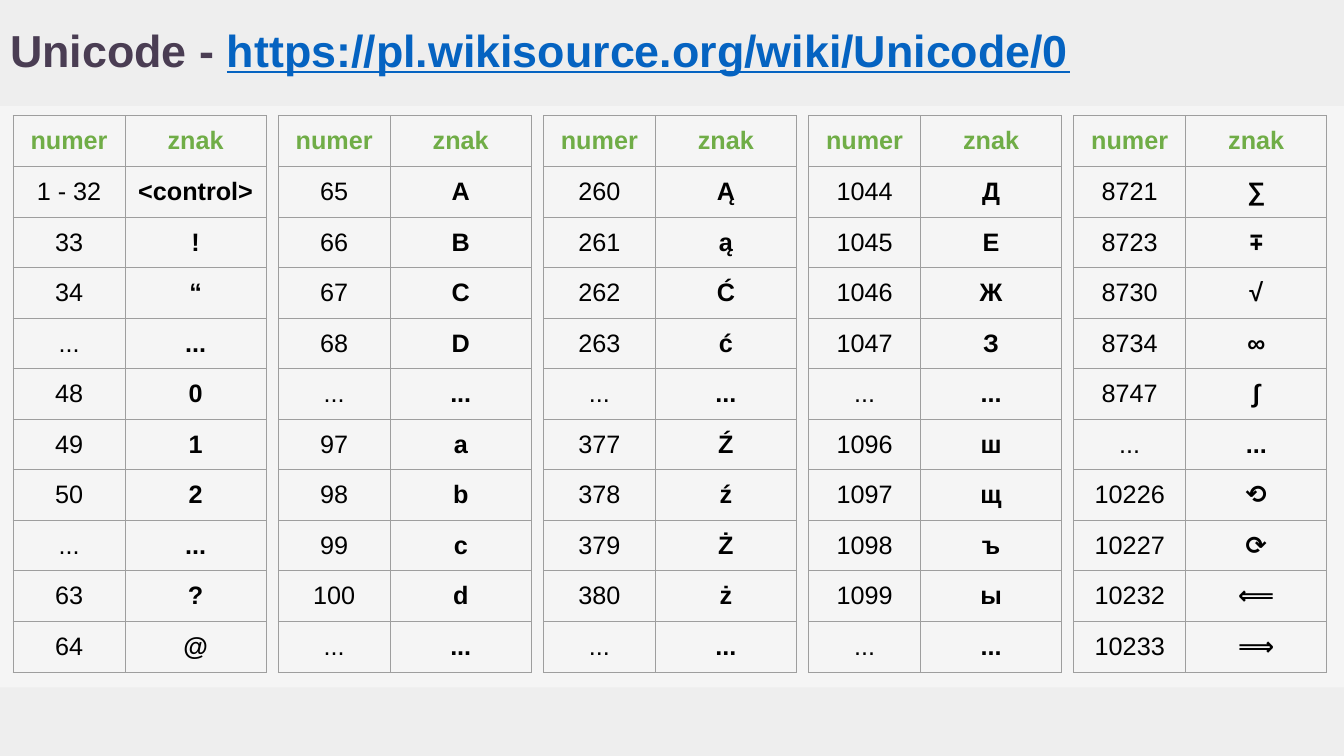
from dataclasses import dataclass

from lxml.etree import SubElement as Sub
from pptx import Presentation
from pptx.dml.color import RGBColor as RGB
from pptx.enum.shapes import MSO_SHAPE as Shape
from pptx.enum.text import MSO_ANCHOR as Anchor, MSO_AUTO_SIZE as Fit, PP_ALIGN as Align
from pptx.oxml.ns import qn
from pptx.util import Inches, Pt


@dataclass(frozen=True)
class Theme:
    font: str = "Arial"
    page: str = "F5F5F5"
    band: str = "EEEEEE"
    title: str = "4A3D53"
    link: str = "0563C1"
    head: str = "70AD47"
    text: str = "000000"
    grid: str = "9E9E9E"
    big: int = 32
    small: int = 18


theme = Theme()


def add_run(para, text, size, color, bold=True):
    run = para.add_run()
    run.text = text
    font = run.font
    font.name, font.size, font.bold = theme.font, Pt(size), bold
    font.color.rgb = RGB.from_string(color)
    return run


def add_grid(cell):
    """Give the cell a thin line on all four sides."""
    props = cell._tc.get_or_add_tcPr()
    for side in ("lnL", "lnR", "lnT", "lnB"):
        line = Sub(props, qn(f"a:{side}"), w=str(Pt(0.75)))
        fill = Sub(line, qn("a:solidFill"))
        Sub(fill, qn("a:srgbClr"), val=theme.grid)


deck = Presentation()
deck.slide_width, deck.slide_height = Inches(13.33), Inches(7.5)
slide = deck.slides.add_slide(deck.slide_layouts[5])
slide.background.fill.solid()
slide.background.fill.fore_color.rgb = RGB.from_string(theme.page)

# Bands at the foot and the head of the slide
for top, height in ((6.82, 0.68), (0, 1.05)):
    band = slide.shapes.add_shape(
        Shape.RECTANGLE, 0, Inches(top), deck.slide_width, Inches(height))
    band.shadow.inherit = False
    band.fill.solid()
    band.fill.fore_color.rgb = RGB.from_string(theme.band)
    band.line.fill.background()

# Title, brought in front of the bands
title = slide.shapes.title
title.element.getparent().append(title.element)
title.left, title.top = Inches(0), Inches(0)
title.width, title.height = Inches(11.92), Inches(1.05)
frame = title.text_frame
frame.auto_size, frame.word_wrap = Fit.NONE, True
frame.vertical_anchor = Anchor.MIDDLE
frame.margin_left = frame.margin_right = Inches(0.1)
frame.margin_top = frame.margin_bottom = Inches(0.1)
para = frame.paragraphs[0]
para.alignment, para.line_spacing = Align.LEFT, 0.9
add_run(para, "Unicode - ", theme.big, theme.title)
link = add_run(para, "https://pl.wikisource.org/wiki/Unicode/0", theme.big, theme.link)
link.font.underline = True

# Each sign is listed with its code point, except for these
labels = {"<control>": "1 - 32", "“": "34", "...": "..."}
groups = (
    "<control> ! “ ... 0 1 2 ... ? @",
    "A B C D ... a b c d ...",
    "Ą ą Ć ć ... Ź ź Ż ż ...",
    "Д Е Ж З ... ш щ ъ ы ...",
    "∑ ∓ √ ∞ ∫ ... ⟲ ⟳ ⟸ ⟹",
)
widths = (1.11, 1.4)

for index, group in enumerate(groups):
    rows = [("numer", "znak")]
    for sign in group.split():
        rows.append((labels.get(sign) or str(ord(sign)), sign))
    left = 0.13 + 2.63 * index
    table = slide.shapes.add_table(
        len(rows), 2, Inches(left), Inches(1.15), Inches(sum(widths)), Inches(5.52)).table
    table.first_row = table.horz_banding = False
    for column, width in zip(table.columns, widths):
        column.width = Inches(width)
    for r, row in enumerate(rows):
        for c, text in enumerate(row):
            cell = table.cell(r, c)
            cell.vertical_anchor = Anchor.MIDDLE
            cell.margin_left = cell.margin_right = Inches(0.1)
            cell.margin_top = cell.margin_bottom = Inches(0.1)
            add_grid(cell)
            cell.fill.background()
            para = cell.text_frame.paragraphs[0]
            para.alignment = Align.CENTER
            color = theme.text if r else theme.head
            add_run(para, text, theme.small, color, bold=r == 0 or c == 1)

deck.save("out.pptx")
